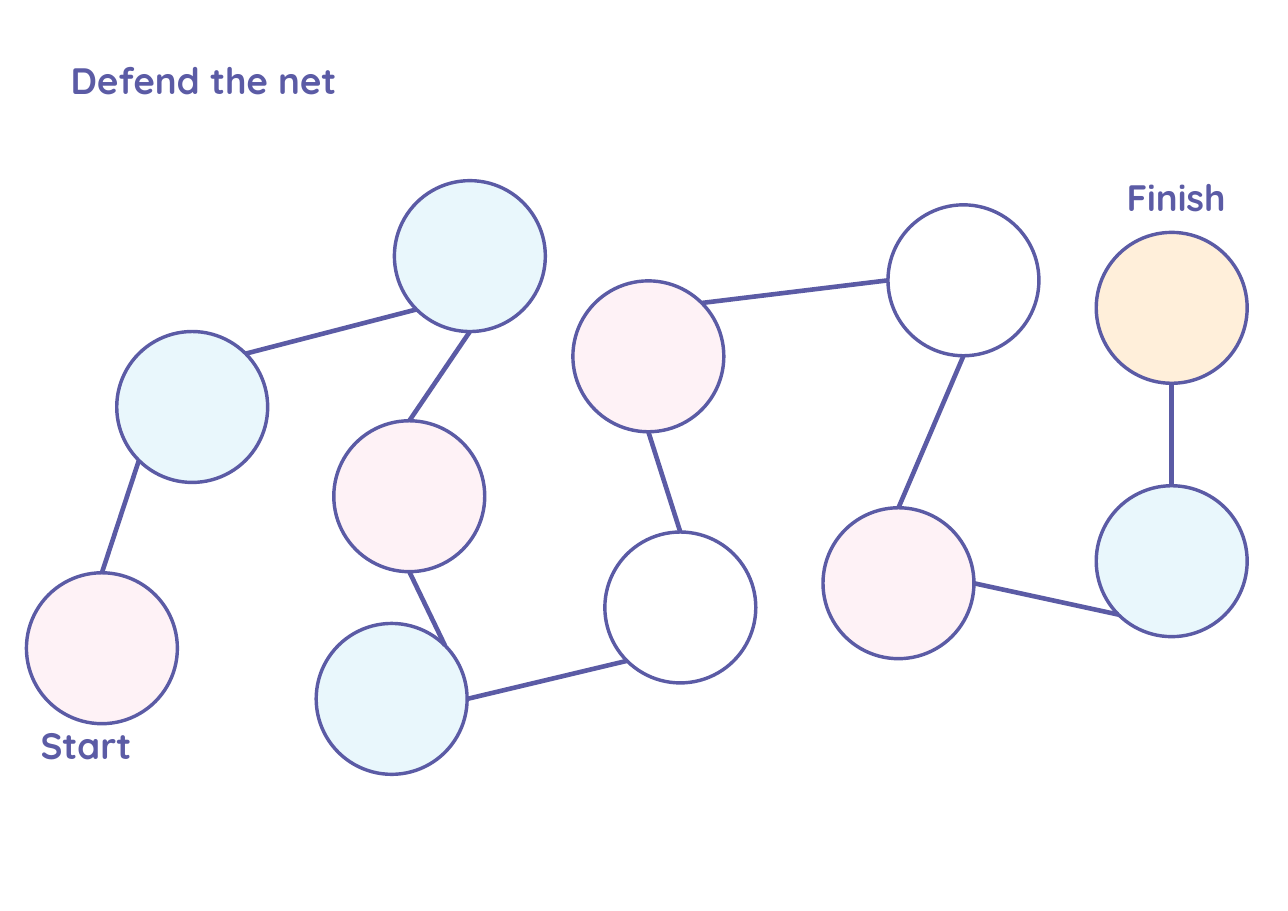
from math import cos, radians, sin

from pptx import Presentation
from pptx.dml.color import RGBColor
from pptx.enum.shapes import MSO_CONNECTOR, MSO_SHAPE
from pptx.enum.text import MSO_ANCHOR, MSO_AUTO_SIZE, PP_ALIGN
from pptx.oxml.ns import qn
from pptx.util import Pt
from lxml import etree

ELLIPSE, STRAIGHT = MSO_SHAPE.OVAL, MSO_CONNECTOR.STRAIGHT
LEFT, CENTER, TOP = PP_ALIGN.LEFT, PP_ALIGN.CENTER, MSO_ANCHOR.TOP
GROW = MSO_AUTO_SIZE.SHAPE_TO_FIT_TEXT

PURPLE = RGBColor(0x5B, 0x5B, 0xA5)
PINK = RGBColor(0xFE, 0xF2, 0xF6)
BLUE = RGBColor(0xE9, 0xF7, 0xFC)
PEACH = RGBColor(0xFF, 0xEF, 0xDA)
FONT = "Quicksand"

# Content: lengths in px, 100 px to the inch
PX = 9144
PAGE_WIDTH, PAGE_HEIGHT = 1169, 827
DIAMETER = 137
LABEL_HEIGHT = 61
INSET = 10

TITLE = ("Defend the net", 54, 42, 328, LEFT)
LABELS = [("Start", 27, 646, 124, LEFT), ("Finish", 990, 149, 155, CENTER)]

# Stops from start to finish: left, top, fill (None is unfilled)
STOPS = [
    (24, 520, PINK), (106, 301, BLUE), (358, 164, BLUE), (303, 382, PINK),
    (287, 566, BLUE), (549, 483, None), (520, 255, PINK), (806, 186, None),
    (747, 461, PINK), (995, 441, BLUE), (995, 211, PEACH),
]

# Where each path leaves its stop and enters the next, as compass points
PATHS = [
    ("N", "SW"), ("NE", "SW"), ("S", "N"), ("S", "NE"), ("E", "SW"),
    ("N", "S"), ("NE", "W"), ("S", "N"), ("E", "SW"), ("N", "S"),
]
ANGLES = {"E": 0, "SE": 45, "S": 90, "SW": 135, "W": 180, "NW": 225, "N": 270, "NE": 315}


def emu(*lengths):
    return [round(length * PX) for length in lengths]


def rim_point(stop, compass):
    """Point on the edge of a stop in the given direction."""
    left, top, _ = stop
    radius, angle = DIAMETER / 2, radians(ANGLES[compass])
    return emu(left + radius + radius * cos(angle), top + radius + radius * sin(angle))


def write_label(box, text, alignment):
    frame = box.text_frame
    frame.text = text
    frame.word_wrap = True
    frame.auto_size = GROW
    frame.vertical_anchor = TOP
    inset, = emu(INSET)
    frame.margin_left = frame.margin_right = inset
    frame.margin_top = frame.margin_bottom = inset
    para = frame.paragraphs[0]
    para.alignment = alignment
    para.font.name, para.font.size, para.font.bold = FONT, Pt(24), True
    para.font.color.rgb = PURPLE


deck = Presentation()
deck.slide_width, deck.slide_height = emu(PAGE_WIDTH, PAGE_HEIGHT)
page = deck.slides.add_slide(deck.slide_layouts[5])

# Title
text, left, top, width, alignment = TITLE
title = page.shapes.title
title.left, title.top, title.width, title.height = emu(left, top, width, LABEL_HEIGHT)
write_label(title, text, alignment)

# Start and finish labels
for text, left, top, width, alignment in LABELS:
    box = page.shapes.add_textbox(*emu(left, top, width, LABEL_HEIGHT))
    write_label(box, text, alignment)

# Stops
for left, top, fill in STOPS:
    circle = page.shapes.add_shape(ELLIPSE, *emu(left, top, DIAMETER, DIAMETER))
    circle.shadow.inherit = False
    if fill is None:
        circle.fill.background()
    else:
        circle.fill.solid()
        circle.fill.fore_color.rgb = fill
    circle.line.color.rgb = PURPLE
    circle.line.width = Pt(2.25)

# Paths between neighbouring stops
for here, following, (leave, enter) in zip(STOPS, STOPS[1:], PATHS):
    path_line = page.shapes.add_connector(
        STRAIGHT, *rim_point(here, leave), *rim_point(following, enter))
    path_line.line.color.rgb = PURPLE
    path_line.line.width = Pt(3)
    etree.SubElement(path_line._element.spPr, qn("a:effectLst"))

deck.save("out.pptx")
